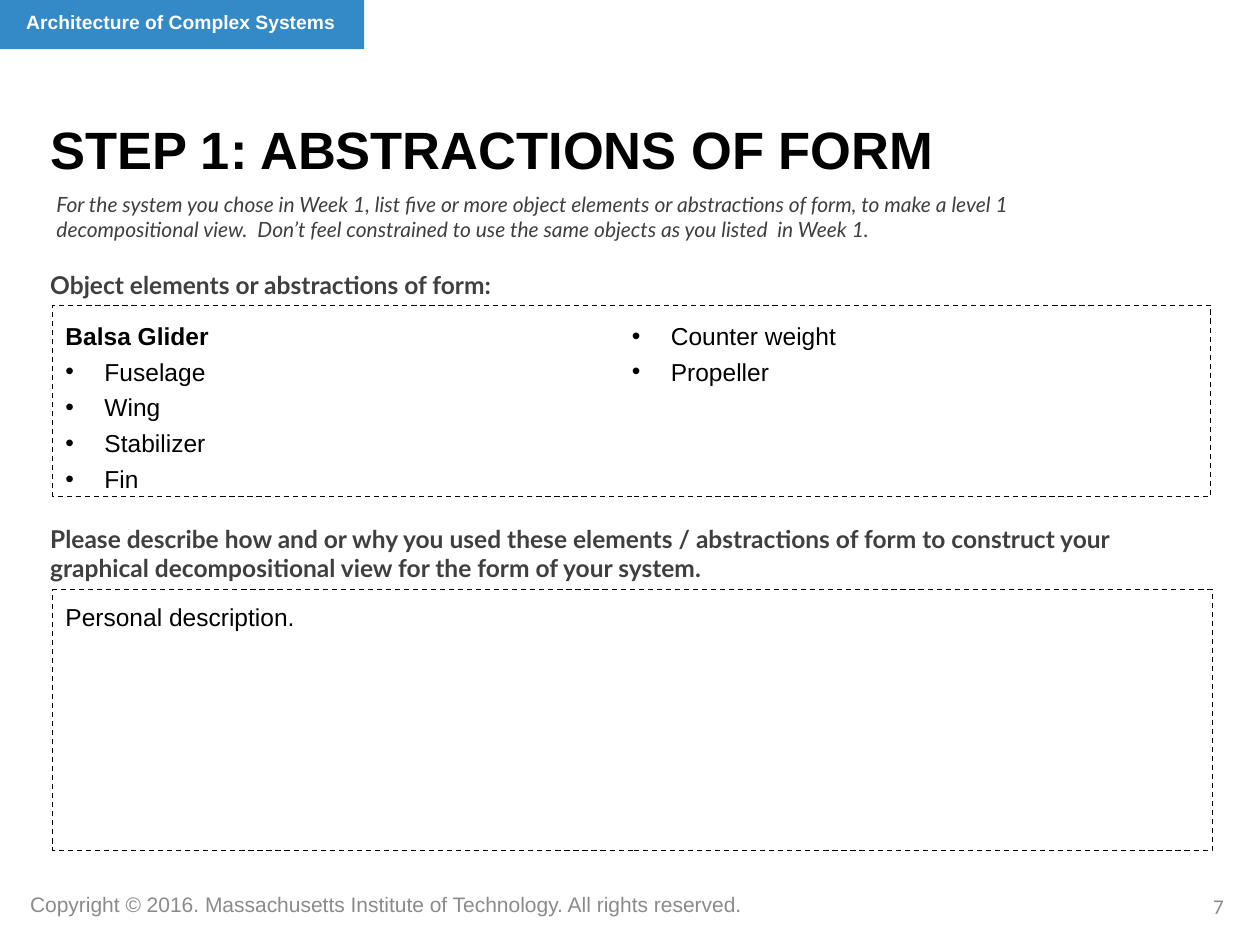
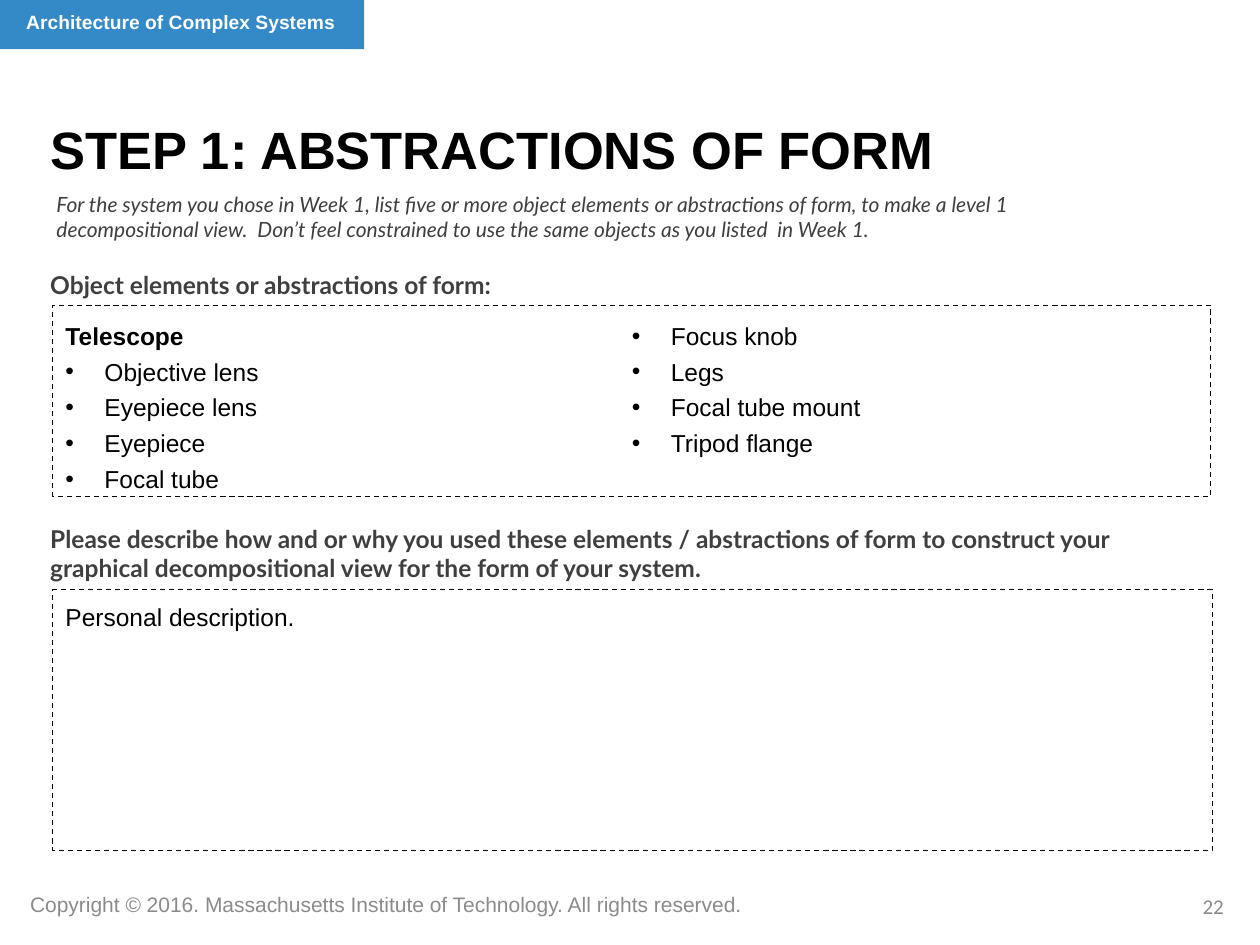
import pptx
import pptx.util
import pptx.dml.color
import pptx.enum.dml
import pptx.enum.shapes
import pptx.enum.text
import lxml.etree
import pptx.oxml.ns

Pt = pptx.util.Pt
qn = pptx.oxml.ns.qn
BLUE, WHITE, BLACK, DARK_GREY, GREY = "3489C7", "FFFFFF", "000000", "3F3F3F", "8A8B8C"
LEFT = pptx.enum.text.PP_ALIGN.LEFT
RIGHT = pptx.enum.text.PP_ALIGN.RIGHT
RECTANGLE = pptx.enum.shapes.MSO_SHAPE.RECTANGLE
INDENT = Pt(22.3)


def style(paragraph, size, font, color, bold=False, italic=False, align=LEFT):
    paragraph.alignment = align
    for run in paragraph.runs:
        run.font.size = Pt(size)
        run.font.name = font
        run.font.bold = bold
        run.font.italic = italic
        run.font.color.rgb = pptx.dml.color.RGBColor.from_string(color)


def add_text(slide, text, box, *look, **options):
    shape = slide.shapes.add_textbox(*map(Pt, box))
    shape.text_frame.word_wrap = True
    shape.text_frame.text = text
    style(shape.text_frame.paragraphs[0], *look, **options)
    return shape


presentation = pptx.Presentation()
presentation.slide_width = Pt(720)
presentation.slide_height = Pt(540)
layout = presentation.slide_layouts.get_by_name("Two Content")

placeholder_boxes = {
    0: (21.6, 63.4, 690, 41.8),
    1: (30.2, 176.4, 661.7, 107.3),
    2: (30.2, 337, 661.7, 149),
}
for placeholder in layout.placeholders:
    index = placeholder.placeholder_format.idx
    if index in placeholder_boxes:
        placeholder.left, placeholder.top, placeholder.width, placeholder.height = map(
            Pt, placeholder_boxes[index])

frame_boxes = [(30.2, 174.5, 661.7, 109.2), (30.2, 337, 662.8, 149)]
instruction = (
    "For the system you chose in Week 1, list five or more object elements or "
    "abstractions of form, to make a level 1 decompositional view.  Don’t feel "
    "constrained to use the same objects as you listed  in Week 1."
)
prompts = [
    ("Object elements or abstractions of form:", (21.6, 150.5, 677.5, 18.7)),
    ("Please describe how and or why you used these elements / abstractions of form "
     "to construct your graphical decompositional view for the form of your system.",
     (21.6, 295.8, 677.5, 41)),
]
systems = [
    ("7", "Balsa Glider",
     ["Fuselage", "Wing", "Stabilizer", "Fin", "Counter weight", "Propeller"]),
    ("22", "Telescope",
     ["Objective lens", "Eyepiece lens", "Eyepiece", "Focal tube", "Focus knob", "Legs",
      "Focal tube mount", "Tripod flange"]),
]

for position, (page_number, system_name, elements) in enumerate(systems):
    slide = presentation.slides.add_slide(layout)

    if position == 0:
        band = slide.shapes.add_shape(RECTANGLE, Pt(-0.7), Pt(0), Pt(208.8), Pt(28.1))
        band.shadow.inherit = False
        band.fill.solid()
        band.fill.fore_color.rgb = pptx.dml.color.RGBColor.from_string(BLUE)
        band.line.fill.background()
        course = add_text(slide, "Architecture of Complex Systems",
                          (7.9, 2.2, 201, 41.8), 11, "Arial", WHITE, bold=True)
        footer = add_text(
            slide,
            "Copyright © 2016. Massachusetts Institute of Technology. All rights reserved.",
            (10.1, 505.8, 429, 21.6), 12, "Arial", GREY)
        for shape in (band, course, footer):
            layout.shapes.element.append(shape.element)

    for box in frame_boxes:
        frame = slide.shapes.add_shape(RECTANGLE, *map(Pt, box))
        frame.shadow.inherit = False
        frame.fill.background()
        frame.line.width = Pt(0.75)
        frame.line.color.rgb = pptx.dml.color.RGBColor.from_string(BLACK)
        frame.line.dash_style = pptx.enum.dml.MSO_LINE.DASH

    for placeholder in slide.placeholders:
        text_frame = placeholder.text_frame
        text_frame.word_wrap = True
        text_frame.auto_size = pptx.enum.text.MSO_AUTO_SIZE.NONE
        text_frame.vertical_anchor = pptx.enum.text.MSO_ANCHOR.TOP

    title = slide.shapes.title
    title.text_frame.text = "STEP 1: ABSTRACTIONS OF FORM"
    style(title.text_frame.paragraphs[0], 30, "Arial", BLACK, bold=True)

    element_list = slide.placeholders[1]
    description = slide.placeholders[2]
    element_list.text_frame.text = "\n".join([system_name] + elements)
    description.text_frame.text = "Personal description."
    columns = element_list.text_frame._txBody.bodyPr
    columns.set("numCol", "2")
    columns.set("spcCol", "0")

    for body in (element_list, description):
        body.text_frame.margin_top = Pt(7)
        body.text_frame.margin_bottom = Pt(0)
        for number, paragraph in enumerate(body.text_frame.paragraphs):
            bulleted = number > 0
            paragraph.space_before = Pt(3.6 if bulleted else 0)
            properties = paragraph._p.get_or_add_pPr()
            properties.set("marL", str(INDENT if bulleted else 0))
            properties.set("indent", str(-INDENT if bulleted else 0))
            if bulleted:
                lxml.etree.SubElement(properties, qn("a:buFont")).set("typeface", "Arial")
                lxml.etree.SubElement(properties, qn("a:buChar")).set("char", "•")
            else:
                lxml.etree.SubElement(properties, qn("a:buNone"))
            style(paragraph, 14, "Arial", BLACK, bold=body is element_list and not bulleted)

    add_text(slide, instruction, (25.2, 105.8, 636.5, 56.9), 12, "Lato", DARK_GREY, italic=True)
    for prompt, box in prompts:
        add_text(slide, prompt, box, 14, "Lato", DARK_GREY, bold=True)
    add_text(slide, page_number, (538.6, 506.9, 167.8, 28.8), 12, "Calibri", GREY, align=RIGHT)

presentation.save("out.pptx")
